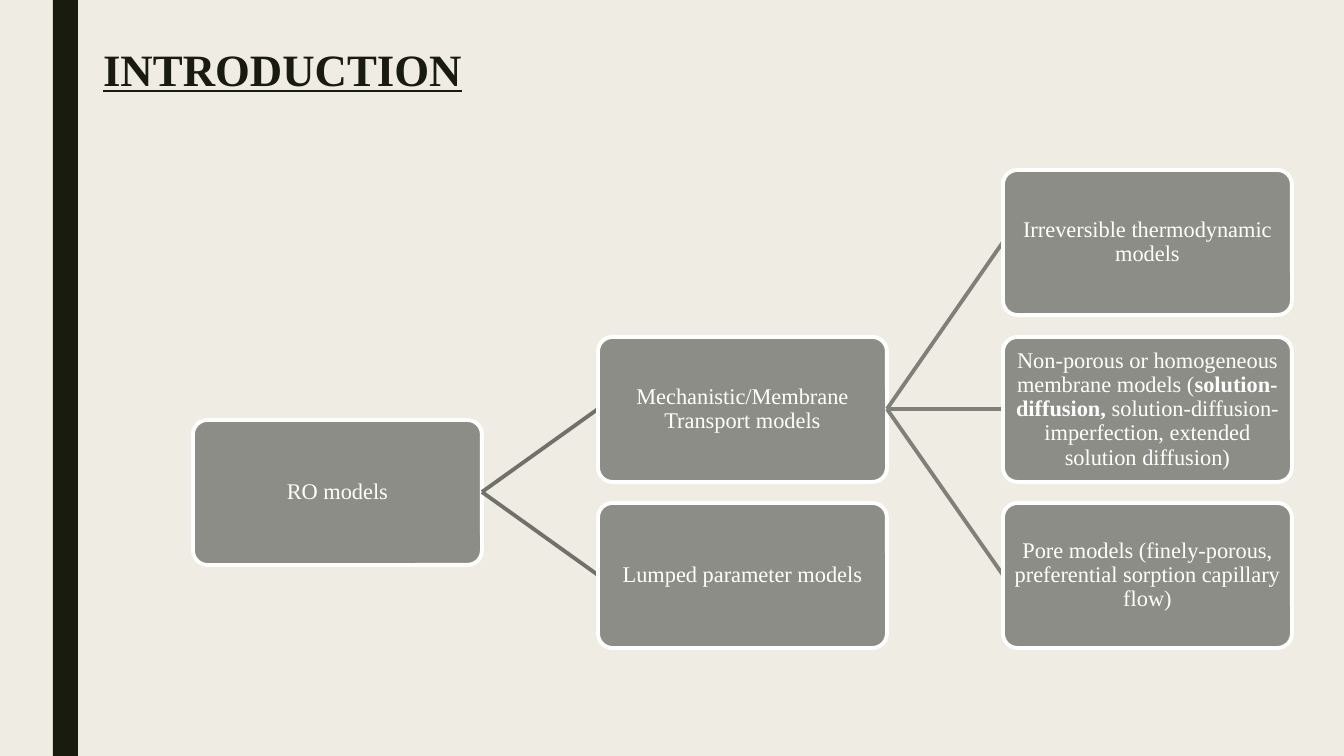
from dataclasses import dataclass

from lxml.etree import SubElement
from pptx import Presentation
from pptx.dml.color import RGBColor
from pptx.enum.shapes import MSO_CONNECTOR, MSO_SHAPE
from pptx.enum.text import MSO_ANCHOR, PP_ALIGN
from pptx.oxml.ns import qn
from pptx.util import Pt

EMU_PER_PIXEL = 914400 / 100.8
SLIDE_WIDTH, SLIDE_HEIGHT = 1344, 756
BOX_WIDTH, BOX_HEIGHT = 289, 145
FIRST_LEFT, COLUMN_STEP = 193, 405
FIRST_TOP, ROW_STEP = 170.4, 166.4


@dataclass(frozen=True)
class Theme:
    """Colours, font and type sizes of the slide."""
    background: str = "EFEDE3"
    dark: str = "191B0E"
    box: str = "8C8D86"
    white: str = "FFFFFF"
    links: tuple = ("70716B", "7F807A")
    font: str = "Times New Roman"
    title_size: int = 32
    box_size: int = 16
    line_width: float = 2.75


@dataclass(frozen=True)
class Node:
    """A box of the tree: its row, its (text, bold) spans and its children."""
    row: float
    spans: tuple
    children: tuple = ()


THEME = Theme()
MODEL_TREE = Node(1.5, (("RO models", False),), (
    Node(1, (("Mechanistic/Membrane Transport models", False),), (
        Node(0, (("Irreversible thermodynamic models", False),)),
        Node(1, (("Non-porous or homogeneous membrane models (", False),
                 ("solution-diffusion,", True),
                 (" solution-diffusion-imperfection, extended solution diffusion)", False))),
        Node(2, (("Pore models (finely-porous, preferential sorption capillary flow)", False),)),
    )),
    Node(2, (("Lumped parameter models", False),)),
))


def px(*pixels):
    """Turn pixels into a list of EMU lengths."""
    return [round(pixel * EMU_PER_PIXEL) for pixel in pixels]


def rgb(code):
    """Turn a hex code into a colour."""
    return RGBColor.from_string(code)


def add_span(para, text, size, color, bold=False):
    """Add one formatted run to a paragraph."""
    span = para.add_run()
    span.text = text
    font = span.font
    font.name, font.size, font.bold = THEME.font, Pt(size), bold
    font.color.rgb = rgb(color)
    return span


def add_filled_shape(page, preset, place, fill):
    """Add a flat shape without a line or shadow."""
    shape = page.shapes.add_shape(preset, *px(*place))
    shape.shadow.inherit = False
    shape.fill.solid()
    shape.fill.fore_color.rgb = rgb(fill)
    shape.line.fill.background()
    return shape


def add_title(page, text):
    """Place and format the title placeholder."""
    title = page.shapes.title
    title.left, title.top, title.width, title.height = px(93, 40, 1045, 64)
    title.text_frame.vertical_anchor = MSO_ANCHOR.MIDDLE
    para = title.text_frame.paragraphs[0]
    para.alignment = PP_ALIGN.LEFT
    para.line_spacing = 0.89
    span = add_span(para, text, THEME.title_size, THEME.dark, bold=True)
    span.font.underline = True


def add_box(page, left, top, spans):
    """Add a rounded box with centred text."""
    box = add_filled_shape(page, MSO_SHAPE.ROUNDED_RECTANGLE,
                           (left, top, BOX_WIDTH, BOX_HEIGHT), THEME.box)
    box.adjustments[0] = 0.1
    box.line.color.rgb = rgb(THEME.white)
    box.line.width = Pt(THEME.line_width)
    frame = box.text_frame
    frame.word_wrap = True
    frame.vertical_anchor = MSO_ANCHOR.MIDDLE
    frame.margin_left, frame.margin_top, frame.margin_right, frame.margin_bottom = px(5, 5, 5, 5)
    para = frame.paragraphs[0]
    para.alignment = PP_ALIGN.CENTER
    para.line_spacing = 0.9
    for text, bold in spans:
        add_span(para, text, THEME.box_size, THEME.white, bold)


def add_link(page, start, end, color):
    """Add a straight line between two points."""
    link = page.shapes.add_connector(MSO_CONNECTOR.STRAIGHT, *px(*start, *end))
    link.line.color.rgb = rgb(color)
    link.line.width = Pt(THEME.line_width)
    SubElement(link.element.spPr, qn("a:effectLst"))


def add_branch(page, node, level=0, parent_end=None):
    """Add a node, the link from its parent, and its children."""
    left = FIRST_LEFT + level * COLUMN_STEP
    top = round(FIRST_TOP + node.row * ROW_STEP)
    middle = top + BOX_HEIGHT // 2
    if parent_end:
        add_link(page, parent_end, (left, middle), THEME.links[level - 1])
    add_box(page, left, top, node.spans)
    for child in node.children:
        add_branch(page, child, level + 1, (left + BOX_WIDTH, middle))


def main():
    """Build the slide and save it."""
    deck = Presentation()
    deck.slide_width, deck.slide_height = px(SLIDE_WIDTH, SLIDE_HEIGHT)
    page = deck.slides.add_slide(deck.slide_layouts[5])
    page.background.fill.solid()
    page.background.fill.fore_color.rgb = rgb(THEME.background)
    add_filled_shape(page, MSO_SHAPE.RECTANGLE, (53, 0, 25, SLIDE_HEIGHT), THEME.dark)
    add_title(page, "INTRODUCTION")
    add_branch(page, MODEL_TREE)
    deck.save("out.pptx")


main()
